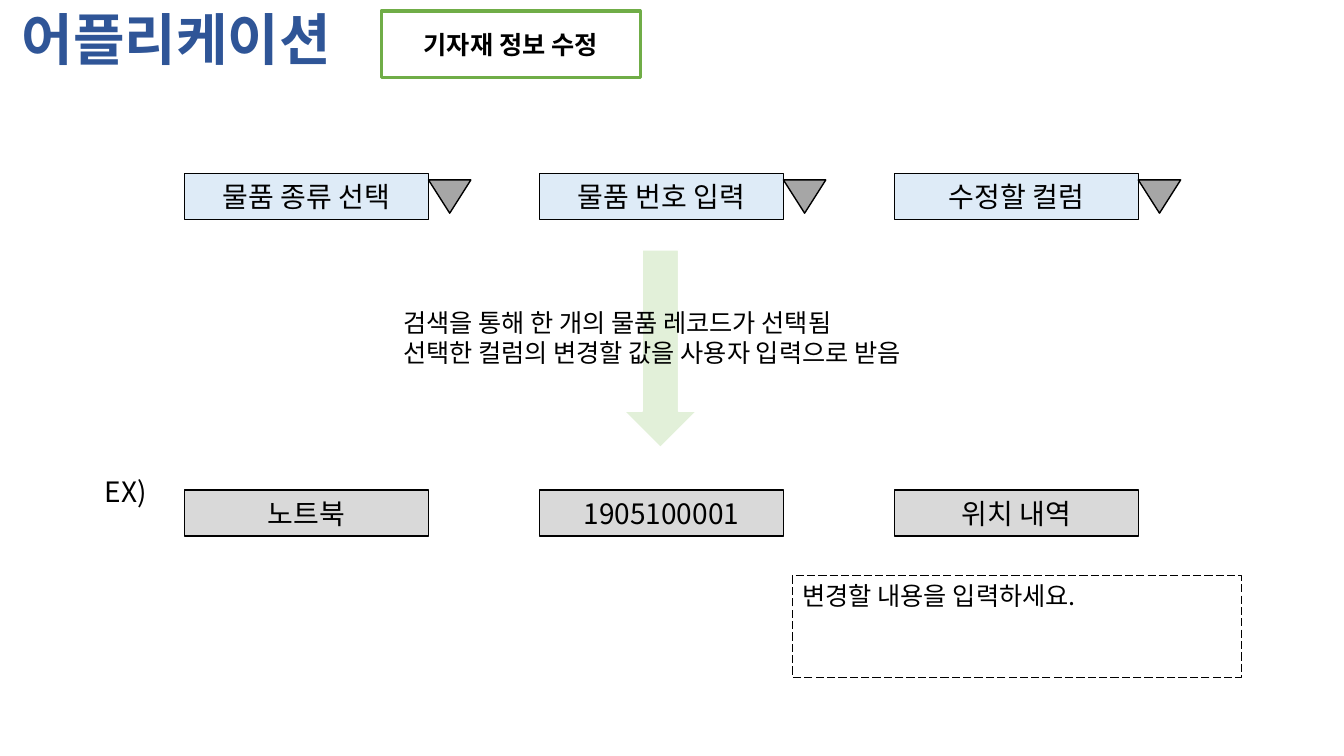
from pptx import Presentation
from pptx.util import Inches, Pt
from pptx.dml.color import RGBColor
from pptx.enum.dml import MSO_LINE
from pptx.enum.shapes import MSO_SHAPE as SHAPE
from pptx.enum.text import MSO_ANCHOR as ANCHOR, MSO_AUTO_SIZE as FIT, PP_ALIGN as ALIGN
from pptx.oxml.ns import qn
from lxml.etree import SubElement

FONT = "Noto Sans CJK KR"
TITLE = "어플리케이션"
SUBTITLE = "기자재 정보 수정"
FIELDS = ["물품 종류 선택", "물품 번호 입력", "수정할 컬럼"]
VALUES = ["노트북", "1905100001", "위치 내역"]
STEPS = ["검색을 통해 한 개의 물품 레코드가 선택됨",
         "선택한 컬럼의 변경할 값을 사용자 입력으로 받음"]
EXAMPLE = "EX)"
PROMPT = "변경할 내용을 입력하세요."

LEFT, PITCH, BOX_W, BOX_H = 1.83, 3.52, 2.42, 0.46
FIELD_Y, VALUE_Y = 1.72, 4.86
MARK_W, MARK_H = 0.42, 0.33


def rgb(color):
    return RGBColor.from_string(color)


def write(sp, lines, size, color="000000", bold=False, align=ALIGN.LEFT, anchor=ANCHOR.TOP):
    tf = sp.text_frame
    tf.vertical_anchor = anchor
    for i, line in enumerate(lines):
        p = tf.add_paragraph() if i else tf.paragraphs[0]
        p.alignment = align
        r = p.add_run()
        r.text = line
        r.font.size, r.font.bold, r.font.name = Pt(size), bold, FONT
        r.font.color.rgb = rgb(color)
        SubElement(r.font._element, qn("a:ea")).set("typeface", FONT)


def add_box(s, kind, box, fill=None, line="000000", width=1):
    sp = s.shapes.add_shape(kind, *map(Inches, box))
    sp.shadow.inherit = False
    if fill:
        sp.fill.solid()
        sp.fill.fore_color.rgb = rgb(fill)
    else:
        sp.fill.background()
    sp.line.color.rgb = rgb(line)
    sp.line.width = Pt(width)
    sp.text_frame.word_wrap = True
    return sp


def add_text(s, box, lines, size, wrap=True, **style):
    sp = s.shapes.add_textbox(*map(Inches, box))
    sp.text_frame.word_wrap = wrap
    sp.text_frame.auto_size = FIT.SHAPE_TO_FIT_TEXT
    write(sp, lines, size, **style)


def add_row(s, labels, top, fill):
    for col, label in enumerate(labels):
        sp = add_box(s, SHAPE.RECTANGLE, (LEFT + col * PITCH, top, BOX_W, BOX_H), fill)
        write(sp, [label], 20, align=ALIGN.CENTER, anchor=ANCHOR.MIDDLE)


def main():
    """Build the equipment edit slide."""
    prs = Presentation()
    prs.slide_width, prs.slide_height = Inches(13.33), Inches(7.5)
    s = prs.slides.add_slide(prs.slide_layouts[6])

    sp = add_box(s, SHAPE.FLOWCHART_PROCESS, (3.78, 0.11, 2.57, 0.66), "FFFFFF", "70AD47", 2.25)
    write(sp, [SUBTITLE], 18, bold=True, align=ALIGN.CENTER, anchor=ANCHOR.MIDDLE)
    add_text(s, (0.12, 0, 3.57, 0.77), [TITLE], 40, wrap=False, color="2F5597", bold=True)
    add_box(s, SHAPE.DOWN_ARROW, (6.19, 2.48, 0.72, 1.96), "E2F0D9", "FFFFFF")

    add_row(s, FIELDS, FIELD_Y, "DEEBF7")
    for col in range(len(FIELDS)):
        box = (LEFT + BOX_W + col * PITCH, FIELD_Y + (BOX_H - MARK_H) / 2, MARK_W, MARK_H)
        add_box(s, SHAPE.FLOWCHART_EXTRACT, box, "A6A6A6").rotation = 180

    add_text(s, (3.9, 3, 6.03, 0.71), STEPS, 18)
    add_row(s, VALUES, VALUE_Y, "D9D9D9")
    add_text(s, (0.94, 4.66, 0.8, 0.44), [EXAMPLE], 20)

    sp = add_box(s, SHAPE.RECTANGLE, (7.86, 5.71, 4.45, 1.01), width=0.75)
    sp.line.dash_style = MSO_LINE.LONG_DASH
    write(sp, [PROMPT], 18)
    prs.save("out.pptx")


main()
